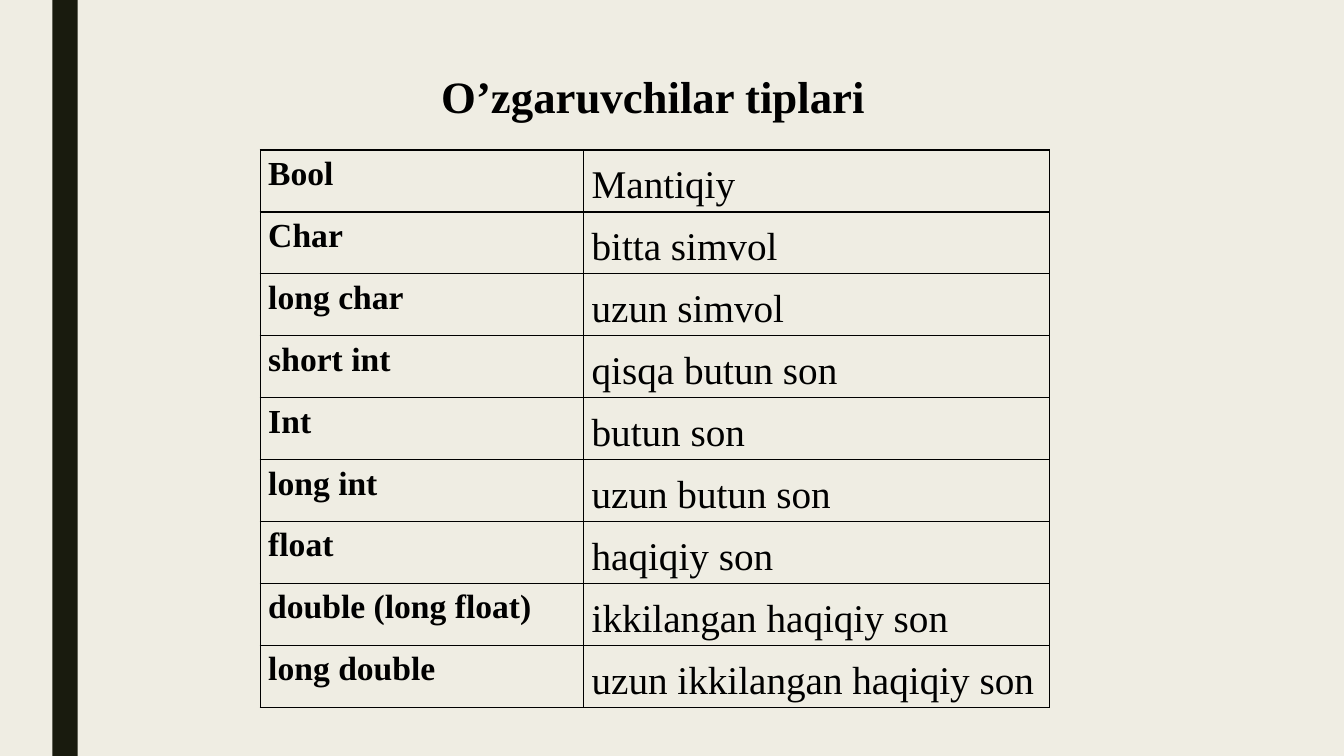
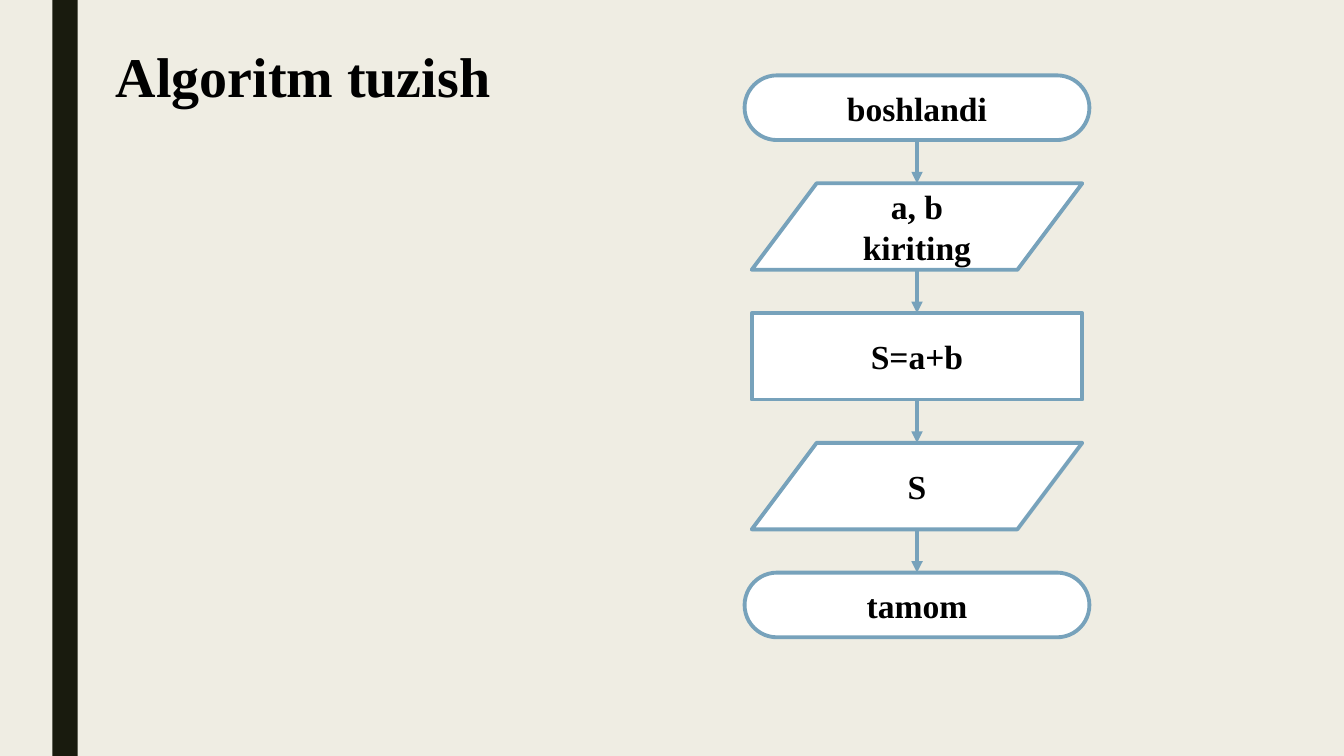
from lxml import etree
from pptx import Presentation
from pptx import util as u
from pptx.dml.color import RGBColor
from pptx.enum import shapes, text
from pptx.oxml import ns

PAPER = RGBColor(0xEF, 0xED, 0xE3)
BAND = RGBColor(0x19, 0x1B, 0x0E)
INK = RGBColor(0, 0, 0)
WHITE = RGBColor(0xFF, 0xFF, 0xFF)
BLUE = RGBColor(0x77, 0xA2, 0xBB)
FONT = "Times New Roman"
LINE_WIDTH = u.Pt(2.75)

TYPES = [
    ("Bool", "Mantiqiy"),
    ("Char", "bitta simvol"),
    ("long char", "uzun simvol"),
    ("short int", "qisqa butun son"),
    ("Int", "butun son"),
    ("long int", "uzun butun son"),
    ("float", "haqiqiy son"),
    ("double (long float)", "ikkilangan haqiqiy son"),
    ("long double", "uzun ikkilangan haqiqiy son"),
]

TERMINAL = (shapes.MSO_SHAPE.ROUNDED_RECTANGLE, 0.5, 8.69, 1.63)
DATA = (shapes.MSO_SHAPE.PARALLELOGRAM, 0.75, 8.33, 2.18)
PROCESS = (shapes.MSO_SHAPE.RECTANGLE, None, 8.33, 2.18)
STEPS = [
    (TERMINAL, ["boshlandi"]),
    (DATA, ["a, b", "kiriting"]),
    (PROCESS, ["S=a+b"]),
    (DATA, ["S"]),
    (TERMINAL, ["tamom"]),
]


def style(p, size, bold=True):
    p.font.name = FONT
    p.font.size = u.Pt(size)
    p.font.bold = bold
    p.font.color.rgb = INK


def add_slide(prs):
    s = prs.slides.add_slide(prs.slide_layouts[6])
    band = s.shapes.add_shape(shapes.MSO_SHAPE.RECTANGLE, u.Cm(1.32), 0,
                              u.Cm(0.64), prs.slide_height)
    band.shadow.inherit = False
    band.fill.solid()
    band.fill.fore_color.rgb = BAND
    band.line.fill.background()
    return s


def add_title(s, words, left, top, width, height, size):
    sp = s.shapes.add_textbox(u.Cm(left), u.Cm(top), u.Cm(width), u.Cm(height))
    tf = sp.text_frame
    tf.word_wrap = True
    tf.vertical_anchor = text.MSO_ANCHOR.MIDDLE
    p = tf.paragraphs[0]
    p.text = words
    style(p, size)


def add_borders(cell):
    props = cell._tc.get_or_add_tcPr()
    for i, side in enumerate(("lnL", "lnR", "lnT", "lnB")):
        ln = etree.Element(ns.qn(f"a:{side}"), w=str(u.Pt(1)))
        fill = etree.SubElement(ln, ns.qn("a:solidFill"))
        etree.SubElement(fill, ns.qn("a:srgbClr"), val=str(INK))
        props.insert(i, ln)


def fill_cell(cell, words, size, bold, spacing, after, top):
    cell.margin_left = cell.margin_right = u.Cm(0.2)
    cell.margin_top, cell.margin_bottom = u.Cm(top), 0
    cell.fill.background()
    add_borders(cell)
    p = cell.text_frame.paragraphs[0]
    p.text = words
    p.line_spacing = spacing
    p.space_after = u.Pt(after)
    style(p, size, bold)


def add_type_table(s, rows, left, top, widths, row_height):
    table = s.shapes.add_table(
        len(rows), len(widths), u.Cm(left), u.Cm(top),
        u.Cm(sum(widths)), u.Cm(row_height * len(rows))).table
    table.first_row = table.horz_banding = False
    for column, width in zip(table.columns, widths):
        column.width = u.Cm(width)
    for i, (name, meaning) in enumerate(rows):
        fill_cell(table.cell(i, 0), name, 24, True, 1.15, 10, 0)
        fill_cell(table.cell(i, 1), meaning, 28, False, 1.2, 0, 0.13)


def set_line(sp):
    sp.line.color.rgb = BLUE
    sp.line.width = LINE_WIDTH


def add_step(group, kind, lines, center, top):
    preset, adjustment, width, height = kind
    sp = group.shapes.add_shape(preset, u.Cm(center - width / 2), u.Cm(top),
                                u.Cm(width), u.Cm(height))
    sp.shadow.inherit = False
    if adjustment is not None:
        sp.adjustments[0] = adjustment
    sp.fill.solid()
    sp.fill.fore_color.rgb = WHITE
    set_line(sp)
    tf = sp.text_frame
    tf.word_wrap = False
    tf.vertical_anchor = text.MSO_ANCHOR.MIDDLE
    tf.text = "\n".join(lines)
    for p in tf.paragraphs:
        p.alignment = text.PP_ALIGN.CENTER
        style(p, 24)


def add_arrow(group, x, top, bottom):
    arrow = group.shapes.add_connector(shapes.MSO_CONNECTOR.STRAIGHT, u.Cm(x),
                                       u.Cm(top), u.Cm(x), u.Cm(bottom))
    set_line(arrow)
    etree.SubElement(arrow.line._get_or_add_ln(), ns.qn("a:tailEnd"), type="triangle")
    etree.SubElement(arrow._element.spPr, ns.qn("a:effectLst"))


def add_flowchart(s, steps, center, top, gap):
    group = s.shapes.add_group_shape()
    for i, (kind, lines) in enumerate(steps):
        if i:
            add_arrow(group, center, top, top + gap)
            top += gap
        add_step(group, kind, lines, center, top)
        top += kind[3]


def main():
    prs = Presentation()
    prs.slide_width, prs.slide_height = u.Cm(33.87), u.Cm(19.05)
    background = prs.slide_master.background.fill
    background.solid()
    background.fore_color.rgb = PAPER

    s = add_slide(prs)
    add_title(s, "O’zgaruvchilar tiplari", 10.87, 1.6, 11.28, 1.63, 32)
    add_type_table(s, TYPES, 6.56, 3.78, (8.15, 11.73), 1.56)

    s = add_slide(prs)
    add_flowchart(s, STEPS, 23.11, 1.9, 1.09)
    add_title(s, "Algoritm tuzish", 2.67, 0.91, 21.39, 1.96, 40)

    prs.save("out.pptx")


if __name__ == "__main__":
    main()
